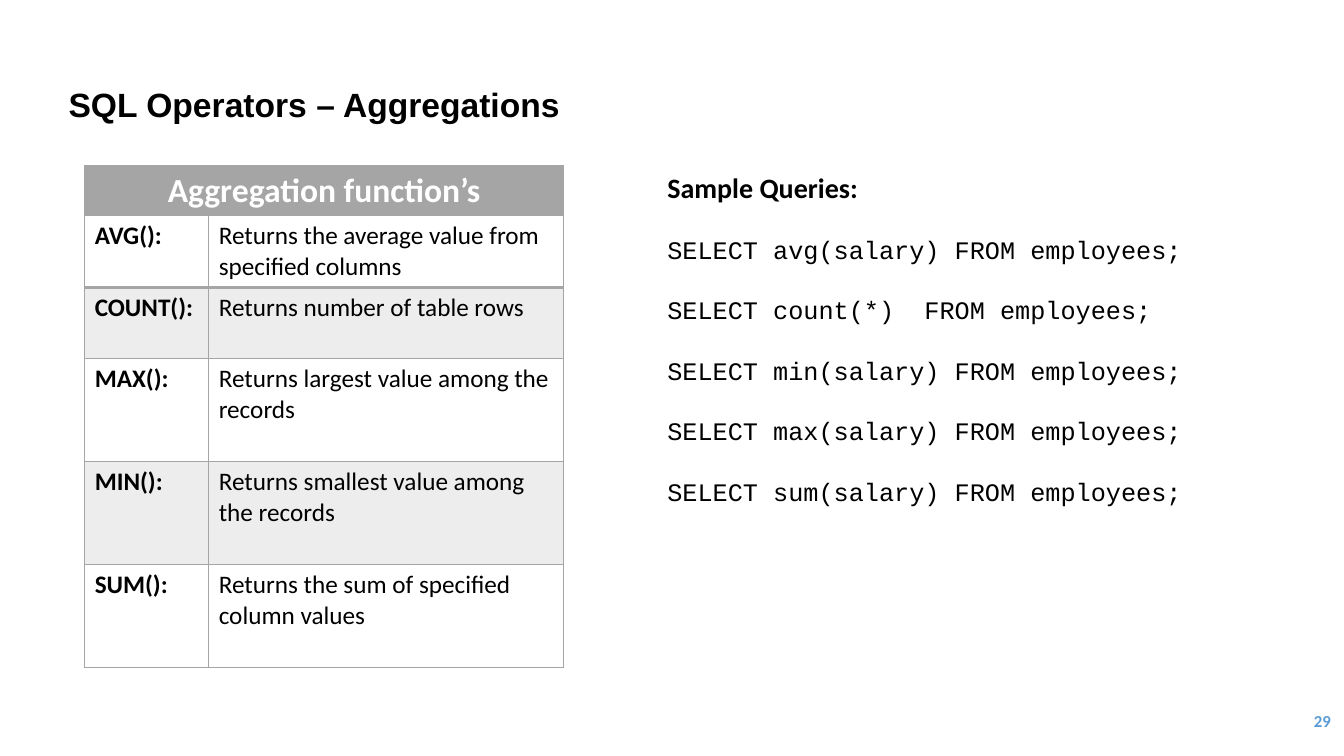
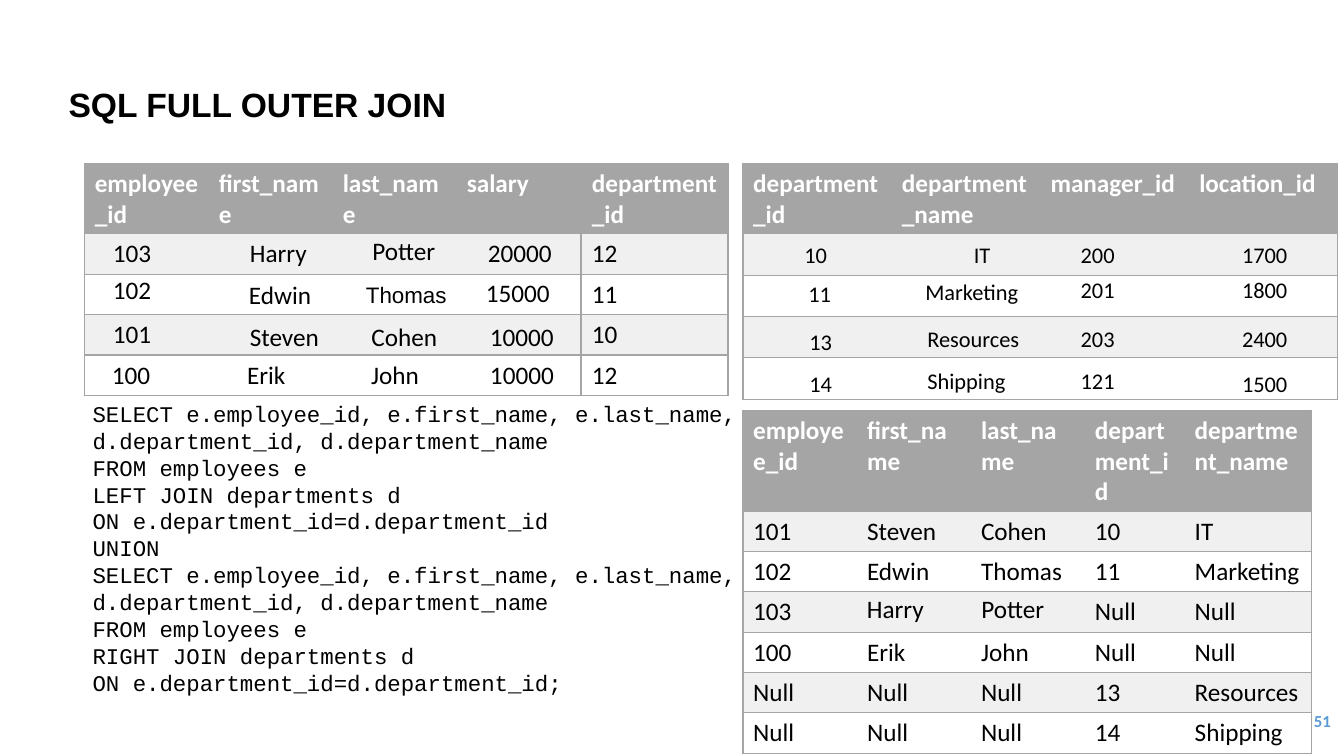
"""Build two SQL slides: aggregation functions and the full outer join."""
from lxml import etree
from pptx import Presentation
from pptx.dml.color import RGBColor
from pptx.enum.text import MSO_ANCHOR, MSO_AUTO_SIZE, PP_ALIGN
from pptx.oxml.ns import qn
from pptx.util import Inches, Pt

MIDDLE = MSO_ANCHOR.MIDDLE
LEFT, CENTER, RIGHT = PP_ALIGN.LEFT, PP_ALIGN.CENTER, PP_ALIGN.RIGHT
NO_AUTOFIT = MSO_AUTO_SIZE.NONE
PLAIN_TABLE = "{2D5ABB26-0587-4C30-8999-92F81FD0307C}"
COLORS = {"text": "000000", "white": "FFFFFF", "gray": "A5A5A5",
          "band": "F0F0F0", "pale": "EDEDED", "number": "5B9BD5"}
TEXT_FONT, TITLE_FONT, CODE_FONT = "Calibri", "Arial", "Courier New"


def style(paragraph, size, color="text", bold=False, font=TEXT_FONT, align=LEFT):
    paragraph.alignment = align
    for run in paragraph.runs:
        run.font.name = font
        run.font.size = Pt(size)
        run.font.bold = bold
        run.font.color.rgb = RGBColor.from_string(COLORS[color])


def add_grid(slide, left, top, widths, heights, rows, header=True,
             bands=("band", "white"), dividers=()):
    table = slide.shapes.add_table(
        len(rows), len(widths), Inches(left), Inches(top),
        Inches(sum(widths)), Inches(sum(heights))).table
    table.first_row = header
    table._tbl.tblPr.find(qn("a:tableStyleId")).text = PLAIN_TABLE
    for column, width in zip(table.columns, widths):
        column.width = Inches(width)
    for row, height in zip(table.rows, heights):
        row.height = Inches(height)
    edges = {0, len(widths), *dividers}
    for r, values in enumerate(rows):
        heading_row = header and r == 0
        for c, value in enumerate(values):
            cell = table.cell(r, c)
            properties = cell._tc.get_or_add_tcPr()
            for side, drawn in (("L", c in edges), ("R", c + 1 in edges),
                                ("T", True), ("B", True)):
                if drawn:
                    line = etree.SubElement(properties, qn("a:ln" + side), w=str(Pt(1)))
                    fill = etree.SubElement(line, qn("a:solidFill"))
                    etree.SubElement(fill, qn("a:srgbClr"), val=COLORS["gray"])
            cell.fill.solid()
            shade = "gray" if heading_row else bands[(r - header) % 2]
            cell.fill.fore_color.rgb = RGBColor.from_string(COLORS[shade])
            cell.text_frame.text = value
            style(cell.text_frame.paragraphs[0], 18,
                  "white" if heading_row else "text", heading_row)
    return table


prs = Presentation()
prs.slide_width, prs.slide_height = Inches(13.33), Inches(7.5)
slides = []
for heading, number in (("SQL Operators – Aggregations", "29"),
                        ("SQL FULL OUTER JOIN", "51")):
    slide = prs.slides.add_slide(prs.slide_layouts[5])
    slides.append(slide)
    title = slide.shapes.title
    title.left, title.top = Inches(0.58), Inches(0.86)
    title.width, title.height = Inches(10.44), Inches(0.4)
    title.text_frame.text = heading
    title.text_frame.auto_size = NO_AUTOFIT
    title.text_frame.vertical_anchor = MIDDLE
    title.text_frame.paragraphs[0].line_spacing = 0.9
    style(title.text_frame.paragraphs[0], 24, bold=True, font=TITLE_FONT)
    page = slide.shapes.add_textbox(
        Inches(11.63), Inches(6.95), Inches(1.67), Inches(0.4)).text_frame
    page.text = number
    page.vertical_anchor = MIDDLE
    style(page.paragraphs[0], 12, "number", True, align=RIGHT)
aggregation_slide, join_slide = slides

functions = add_grid(
    aggregation_slide, 0.84, 2.14, [1.23, 3.52], [0.71, 0.71, 1.02, 1.02, 1.02],
    [("AVG():", "Returns the average value from specified columns"),
     ("COUNT():", "Returns number of table rows"),
     ("MAX():", "Returns largest value among the records"),
     ("MIN():", "Returns smallest value among the records"),
     ("SUM():", "Returns the sum of specified column values")],
    header=False, bands=("white", "pale"), dividers=(1,))
for r in range(5):
    style(functions.cell(r, 0).text_frame.paragraphs[0], 18, bold=True)
for c in range(2):
    functions.cell(0, c)._tc.tcPr.find(qn("a:lnB")).set("w", str(Pt(2)))
functions_heading = add_grid(
    aggregation_slide, 0.84, 1.64, [4.75], [0.5], [("Aggregation function’s",)])
style(functions_heading.cell(0, 0).text_frame.paragraphs[0], 24, "white", True, align=CENTER)

samples = aggregation_slide.shapes.add_textbox(
    Inches(6.52), Inches(1.64), Inches(5.33), Inches(3.47)).text_frame
samples.word_wrap = True
samples.text = "\n".join([
    "Sample Queries:",
    "SELECT avg(salary) FROM employees;",
    "SELECT count(*)  FROM employees;",
    "SELECT min(salary) FROM employees;",
    "SELECT max(salary) FROM employees;",
    "SELECT sum(salary) FROM employees;"])
style(samples.paragraphs[0], 20, bold=True)
for query in samples.paragraphs[1:]:
    query.line_spacing = query.space_before = Pt(21.6)
    style(query, 18, font=CODE_FONT)

join_query = join_slide.shapes.add_textbox(
    Inches(0.82), Inches(3.92), Inches(6.8), Inches(3.06)).text_frame
join_query.word_wrap = True
selection = "SELECT e.employee_id, e.first_name, e.last_name, d.department_id, d.department_name"
join_query.text = "\n".join([
    selection,
    "FROM employees e",
    "LEFT JOIN departments d",
    "ON e.department_id=d.department_id",
    "UNION",
    selection,
    "FROM employees e",
    "RIGHT JOIN departments d",
    "ON e.department_id=d.department_id;"])
for clause in join_query.paragraphs:
    clause.line_spacing = Pt(19.2)
    style(clause, 16, font=CODE_FONT)

add_grid(
    join_slide, 7.37, 1.62, [5.9 / 4] * 4, [0.7] + [0.41] * 4,
    [("department_id", "department_name", "manager_id", "location_id")] + [("",) * 4] * 4)
add_grid(
    join_slide, 7.37, 4.07, [1.13, 1.13, 1.13, 0.99, 1.26], [1.0] + [0.4] * 6,
    [("employee_id", "first_name", "last_name", "department_id", "department_name"),
     ("101", "Steven", "Cohen", "10", "IT"),
     ("102", "Edwin", "Thomas", "11", "Marketing"),
     ("103", "", "", "Null", "Null"),
     ("100", "Erik", "John", "Null", "Null"),
     ("Null", "Null", "Null", "13", "Resources"),
     ("Null", "Null", "Null", "14", "Shipping")])
employees = add_grid(
    join_slide, 0.84, 1.62, [1.23] * 4, [0.7] + [0.4] * 4,
    [("employee_id", "first_name", "last_name", "salary")] + [("",) * 4] * 3
    + [("100", "Erik", "John", "10000")])
for c, indent in enumerate((0.27, 0.38, 0.38, 0.33)):
    employees.cell(4, c).margin_left = Inches(indent)
add_grid(
    join_slide, 5.77, 1.62, [1.45], [0.7] + [0.4] * 4,
    [("department_id",), ("12",), ("11",), ("10",), ("12",)])

department_values = [
    ("10", 7.88, 2.34, 0.66), ("IT", 9.56, 2.34, 0.83),
    ("200", 10.62, 2.34, 0.94), ("1700", 12.22, 2.34, 0.79),
    ("11", 7.92, 2.73, 0.66), ("Marketing", 9.08, 2.71, 1.43),
    ("201", 10.62, 2.69, 0.94), ("1800", 12.22, 2.69, 0.79),
    ("13", 7.93, 3.21, 0.66), ("Resources", 9.1, 3.18, 1.43),
    ("203", 10.62, 3.18, 0.94), ("2400", 12.22, 3.18, 0.79),
    ("14", 7.93, 3.62, 0.66), ("Shipping", 9.1, 3.59, 1.43),
    ("121", 10.62, 3.59, 0.94), ("1500", 12.22, 3.62, 0.79)]
employee_values = [
    ("103", 1.02, 2.31, 0.72), ("Harry", 2.38, 2.31, 0.97), ("20000", 4.74, 2.31, 1.18),
    ("102", 1.02, 2.67, 0.72), ("Edwin", 2.37, 2.72, 0.99), ("15000", 4.72, 2.7, 1.18),
    ("101", 1.02, 3.11, 0.72), ("Steven", 2.38, 3.14, 0.97), ("10000", 4.76, 3.14, 0.92),
    ("Harry", 8.5, 5.84, 0.97)]
last_names = [("Potter", 3.58, 2.29, 0.85), ("Cohen", 3.51, 3.14, 1),
              ("Potter", 9.62, 5.84, 0.85)]
for values, size, height, font, align in (
        (department_values, 16, 0.37, TEXT_FONT, LEFT),
        (employee_values, 18, 0.4, TEXT_FONT, LEFT),
        (last_names, 18, 0.4, TEXT_FONT, CENTER),
        ([("Thomas", 3.53, 2.74, 1)], 16, 0.37, TITLE_FONT, CENTER)):
    for value, left, top, width in values:
        entry = join_slide.shapes.add_textbox(
            Inches(left), Inches(top), Inches(width), Inches(height)).text_frame
        entry.word_wrap = True
        entry.text = value
        style(entry.paragraphs[0], size, font=font, align=align)

prs.save("out.pptx")
